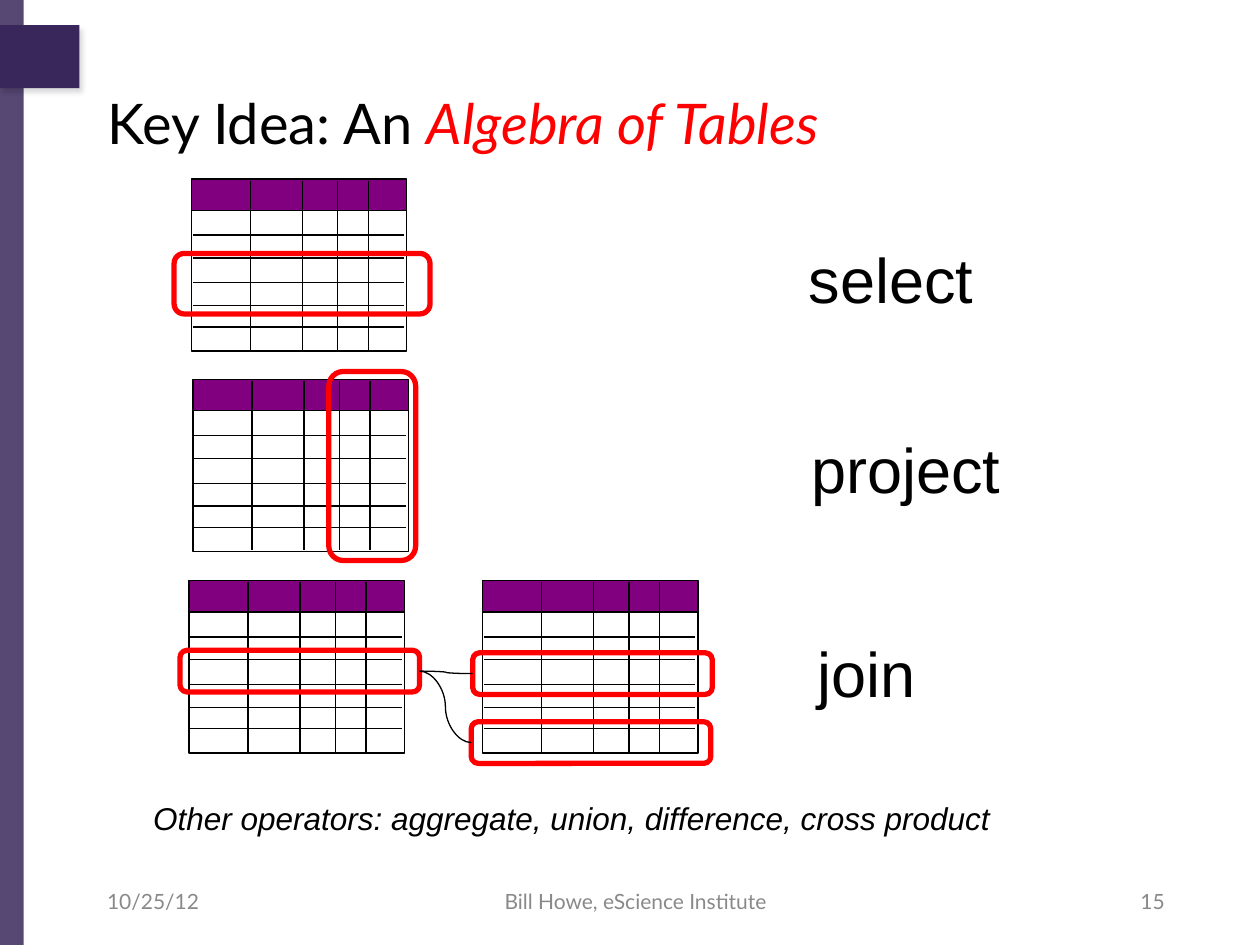
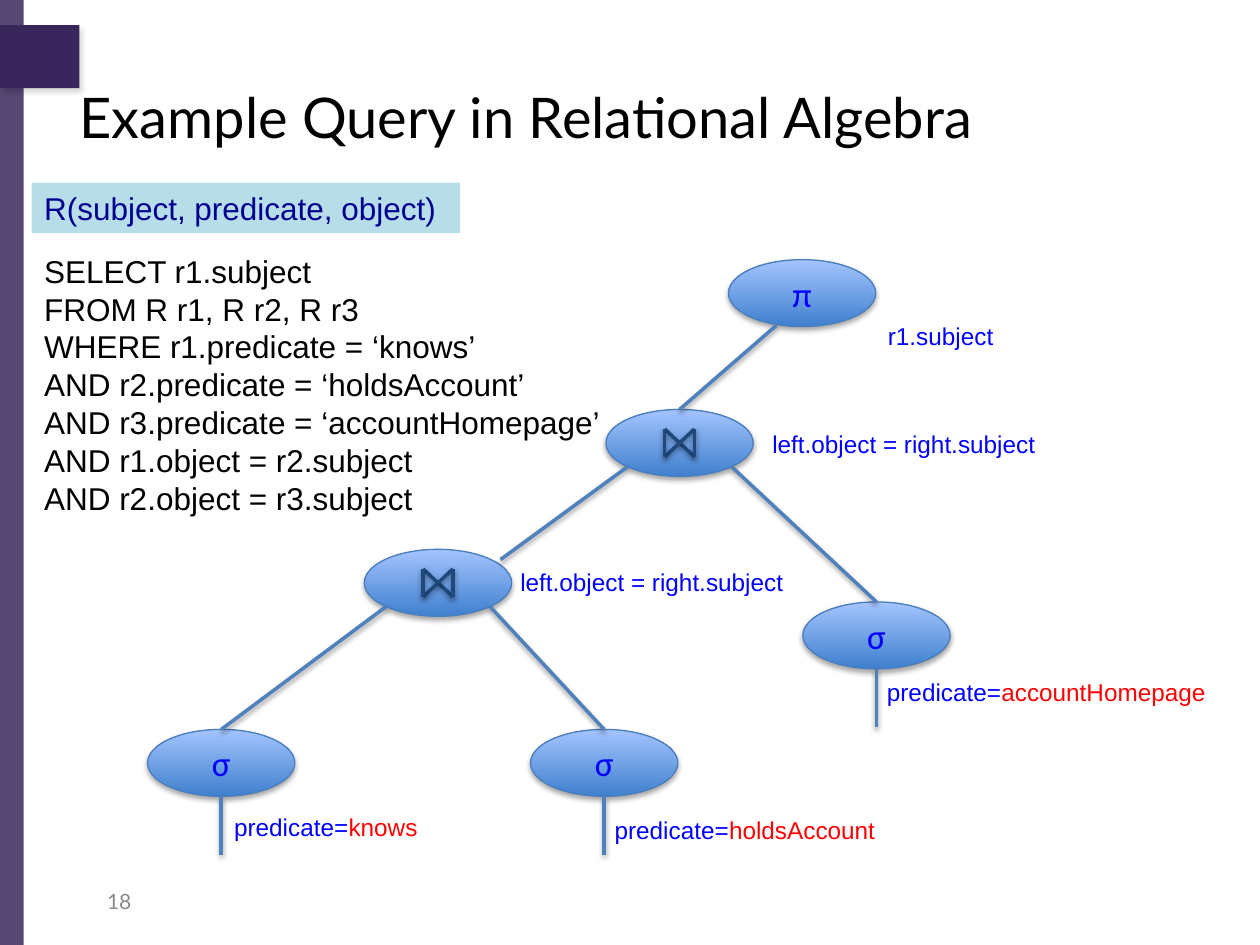
"""Build two slides on relational algebra: table operators and a query tree."""
from dataclasses import dataclass

from lxml.etree import SubElement
from pptx import Presentation
from pptx.dml.color import RGBColor
from pptx.enum.shapes import MSO_CONNECTOR, MSO_SHAPE
from pptx.enum.text import MSO_ANCHOR, MSO_AUTO_SIZE, PP_ALIGN
from pptx.oxml.ns import qn
from pptx.util import Cm, Pt


@dataclass(frozen=True)
class Theme:
    purple: str = "39275B"
    header: str = "800080"
    black: str = "000000"
    white: str = "FFFFFF"
    red: str = "FF0000"
    blue: str = "0000FF"
    navy: str = "000090"
    grey: str = "898989"
    pale: str = "B7DEE8"
    edge: str = "4F81BD"
    bowtie: str = "1F497D"
    outline: str = "4B7EBC"
    gradient: tuple = ("3F80CE", "A4C4FF")
    title_font: str = "Lato"
    body_font: str = "Arial"
    node_font: str = "Calibri"
    title: int = 32
    operator: int = 36
    condition: int = 24
    symbol: int = 20
    body: int = 18
    footer: int = 12
    hairline: float = 0.75
    frame: float = 3
    branch: float = 2
    tab_shadow: tuple = (15, 3, 3, 60)
    node_shadow: tuple = (35, 3.1, 1.8, 90)
    line_shadow: tuple = (38, 3.1, 1.6, 90)


THEME = Theme()
SLIDE = (25.4, 19.05)

ALGEBRA_TITLE = [("Key Idea: An ", THEME.black, False), ("Algebra of Tables", THEME.red, True)]
ALGEBRA_FOOTERS = [
    ("10/25/12", 1.91, 5.92, PP_ALIGN.LEFT),
    ("Bill Howe, eScience Institute", 8.79, 8.05, PP_ALIGN.CENTER),
    ("15", 17.81, 5.92, PP_ALIGN.RIGHT),
]
GRIDS = [(3.86, 3.61), (3.89, 7.65), (3.81, 11.71), (9.73, 11.71)]
GRID_WIDTH, GRID_HEIGHT, HEADER_HEIGHT = 4.34, 3.43, 0.63
ROW_LINES = [0.63, 1.13, 1.59, 2.09, 2.55, 2.98]
COLUMN_LINES = [1.19, 2.24, 2.95, 3.57]
HIGHLIGHTS = {
    "selected rows": (3.51, 5.11, 5.16, 1.22),
    "projected columns": (6.63, 7.49, 1.75, 3.81),
    "left row": (3.63, 13.11, 4.83, 0.84),
    "first match": (9.53, 13.16, 4.83, 0.84),
    "second match": (9.5, 14.55, 4.83, 0.84),
}
JOINED_ROWS = [("left row", "first match"), ("left row", "second match")]
OPERATORS = [("select", 16.05, 4.72), ("project", 16.1, 8.56), ("join", 16.23, 12.67)]
OTHERS = "Other operators: aggregate, union, difference, cross product"

QUERY_TITLE = [("Example Query in Relational Algebra", THEME.black, False)]
QUERY_FOOTERS = [("18", 1.91, 5.92, PP_ALIGN.LEFT)]
SCHEMA = "R(subject, predicate, object)"
QUERY = [
    "SELECT r1.subject",
    "FROM R r1, R r2, R r3",
    "WHERE r1.predicate = ‘knows’",
    "AND r2.predicate = ‘holdsAccount’",
    "AND r3.predicate = ‘accountHomepage’",
    "AND r1.object = r2.subject",
    "AND r2.object = r3.subject",
]
NODE_WIDTH, NODE_HEIGHT = 2.97, 1.35
STEM = 1.18
NODES = {
    "project": ("π", 16.17, 5.91),
    "upper join": ("⋈", 13.7, 8.93),
    "lower join": ("⋈", 8.83, 11.75),
    "knows": ("σ", 4.46, 15.38),
    "account": ("σ", 12.18, 15.38),
    "homepage": ("σ", 17.67, 12.81),
}
TOP = (0, -NODE_HEIGHT / 2)
LOWER_LEFT, LOWER_RIGHT = (-1.05, 0.48), (1.05, 0.48)
BRANCHES = [
    ("project", (-0.52, 0.65), "upper join", TOP),
    ("upper join", LOWER_LEFT, "lower join", (1.26, -0.47)),
    ("upper join", LOWER_RIGHT, "homepage", TOP),
    ("lower join", LOWER_LEFT, "knows", TOP),
    ("lower join", LOWER_RIGHT, "account", TOP),
]
BOWTIE_X, BOWTIE_Y = 0.3, 0.28
BOWTIE = [((-1, -1), (1, 1)), ((1, -1), (-1, 1)), ((-1, -1), (-1, 1)), ((1, -1), (1, 1))]
CONDITIONS = [
    ("r1.subject", "", (17.65, 5.79, 2.97, 0.94)),
    ("left.object = right.subject", "", (15.32, 7.95, 6.68, 1.27)),
    ("left.object = right.subject", "", (10.24, 10.74, 6.68, 1.27)),
    ("predicate=", "knows", (4.47, 15.67, 4.8, 0.94)),
    ("predicate=", "holdsAccount", (12.14, 15.75, 6.6, 0.94)),
    ("predicate=", "accountHomepage", (17.63, 12.95, 7.7, 1.27)),
]


def rgb(colour):
    return RGBColor.from_string(colour)


def lengths(values):
    return [Cm(value) for value in values]


def write(shape, paragraphs, size, font, align=PP_ALIGN.LEFT, anchor=MSO_ANCHOR.TOP):
    frame = shape.text_frame
    frame.word_wrap = True
    frame.vertical_anchor = anchor
    for index, spans in enumerate(paragraphs):
        para = frame.add_paragraph() if index else frame.paragraphs[0]
        para.alignment = align
        for text, colour, italic in spans:
            span = para.add_run()
            span.text = text
            span.font.name = font
            span.font.size = Pt(size)
            span.font.italic = italic
            span.font.color.rgb = rgb(colour)


def add_text(page, bounds, paragraphs, size, font=THEME.body_font, **layout):
    box = page.shapes.add_textbox(*lengths(bounds))
    write(box, paragraphs, size, font, **layout)
    return box


def set_shadow(shape, shadow=None):
    properties = shape.element.spPr
    effects = properties.find(qn("a:effectLst"))
    if effects is None:
        effects = SubElement(properties, qn("a:effectLst"))
    if shadow:
        alpha, blur, distance, angle = shadow
        outer = SubElement(effects, qn("a:outerShdw"), blurRad=str(Pt(blur)),
                           dist=str(Pt(distance)), dir=str(angle * 60000), rotWithShape="0")
        colour = SubElement(outer, qn("a:srgbClr"), val=THEME.black)
        SubElement(colour, qn("a:alpha"), val=str(alpha * 1000))


def add_shape(page, kind, bounds, fill=None, line=None, width=THEME.hairline):
    shape = page.shapes.add_shape(kind, *lengths(bounds))
    shape.shadow.inherit = False
    if fill:
        shape.fill.solid()
        shape.fill.fore_color.rgb = rgb(fill)
    else:
        shape.fill.background()
    if line:
        shape.line.color.rgb = rgb(line)
        shape.line.width = Pt(width)
    else:
        shape.line.fill.background()
    return shape


def add_line(page, start, end, colour=THEME.black, width=THEME.hairline,
             shadow=None, kind=MSO_CONNECTOR.STRAIGHT):
    line = page.shapes.add_connector(kind, *lengths((*start, *end)))
    line.line.color.rgb = rgb(colour)
    line.line.width = Pt(width)
    set_shadow(line, shadow)
    return line


def add_page(deck, title, bounds, footers):
    page = deck.slides.add_slide(deck.slide_layouts[5])
    band = add_shape(page, MSO_SHAPE.RECTANGLE, (0, 0, 0.48, SLIDE[1]), THEME.purple)
    colour = next(band.element.spPr.iter(qn("a:srgbClr")))
    SubElement(colour, qn("a:alpha"), val="85000")
    tab = add_shape(page, MSO_SHAPE.RECTANGLE, (0, 0.51, 1.6, 1.27), THEME.purple)
    set_shadow(tab, THEME.tab_shadow)
    heading = page.shapes.title
    heading.left, heading.top, heading.width, heading.height = lengths(bounds)
    write(heading, [title], THEME.title, THEME.title_font, anchor=MSO_ANCHOR.MIDDLE)
    for text, left, width, align in footers:
        add_text(page, (left, 17.65, width, 1.02), [[(text, THEME.grey, False)]],
                 THEME.footer, THEME.title_font, align=align, anchor=MSO_ANCHOR.MIDDLE)
    return page


def add_grid(page, left, top):
    for offset, height, fill in ((0.04, GRID_HEIGHT, THEME.white), (0, HEADER_HEIGHT, THEME.header)):
        add_shape(page, MSO_SHAPE.RECTANGLE, (left, top + offset, GRID_WIDTH, height),
                  fill, THEME.black)
    for row in ROW_LINES:
        add_line(page, (left + 0.03, top + row), (left + 4.29, top + row))
    for column in COLUMN_LINES:
        add_line(page, (left + column, top + 0.03), (left + column, top + 3.44))


def build_algebra(deck):
    page = add_page(deck, ALGEBRA_TITLE, (1.91, 1.19, 21.82, 2.54), ALGEBRA_FOOTERS)
    for left, top in GRIDS:
        add_grid(page, left, top)
    frames = {
        name: add_shape(page, MSO_SHAPE.ROUNDED_RECTANGLE, bounds, None, THEME.red, THEME.frame)
        for name, bounds in HIGHLIGHTS.items()
    }
    for source, target in JOINED_ROWS:
        curve = add_line(page, (0, 0), (1, 1), kind=MSO_CONNECTOR.CURVE)
        curve.begin_connect(frames[source], 3)
        curve.end_connect(frames[target], 1)
    for name, left, top in OPERATORS:
        add_text(page, (left, top, 7.85, 1.78), [[(name, THEME.black, False)]], THEME.operator)
    add_text(page, (2.84, 15.98, 21.72, 1.27), [[(OTHERS, THEME.black, True)]], THEME.body)


def add_node(page, symbol, x, y):
    bounds = (x - NODE_WIDTH / 2, y - NODE_HEIGHT / 2, NODE_WIDTH, NODE_HEIGHT)
    node = add_shape(page, MSO_SHAPE.OVAL, bounds, None, THEME.outline)
    node.fill.gradient()
    node.fill.gradient_angle = 90
    for stop, colour in zip(node.fill.gradient_stops, THEME.gradient):
        stop.color.rgb = rgb(colour)
    set_shadow(node, THEME.node_shadow)
    if symbol == "⋈":
        for start, end in BOWTIE:
            points = [(x + across * BOWTIE_X, y + down * BOWTIE_Y) for across, down in (start, end)]
            add_line(page, *points, THEME.bowtie, THEME.branch, THEME.line_shadow)
    else:
        write(node, [[(symbol, THEME.blue, False)]], THEME.symbol, THEME.node_font,
              PP_ALIGN.CENTER, MSO_ANCHOR.MIDDLE)
    return node


def add_branch(page, start, end):
    return add_line(page, start, end, THEME.edge, THEME.branch, THEME.line_shadow)


def build_query(deck):
    page = add_page(deck, QUERY_TITLE, (1.35, 0.97, 22.78, 2.74), QUERY_FOOTERS)
    add_text(page, (0.64, 4.95, 14.71, 5.64),
             [[(line, THEME.black, False)] for line in QUERY], THEME.body)
    schema = add_shape(page, MSO_SHAPE.RECTANGLE, (0.64, 3.68, 8.64, 1.02), THEME.pale)
    write(schema, [[(SCHEMA, THEME.navy, False)]], THEME.body, THEME.body_font)
    nodes = {name: add_node(page, *node) for name, node in NODES.items()}
    for parent, leave, child, arrive in BRANCHES:
        start, end = (
            (NODES[name][1] + across, NODES[name][2] + down)
            for name, (across, down) in ((parent, leave), (child, arrive))
        )
        branch = add_branch(page, start, end)
        if arrive == TOP:
            branch.end_connect(nodes[child], 0)
    for symbol, x, y in NODES.values():
        if symbol == "σ":
            bottom = y + NODE_HEIGHT / 2
            add_branch(page, (x, bottom), (x, bottom + STEM))
    for condition, value, bounds in CONDITIONS:
        spans = [(condition, THEME.blue, False)]
        if value:
            spans.append((value, THEME.red, False))
        label = add_text(page, bounds, [spans], THEME.condition)
        label.text_frame.word_wrap = False
        label.text_frame.auto_size = MSO_AUTO_SIZE.SHAPE_TO_FIT_TEXT
        for properties in label.element.iter(qn("a:rPr")):
            properties.set("baseline", "-25000")


def main():
    deck = Presentation()
    deck.slide_width, deck.slide_height = lengths(SLIDE)
    build_algebra(deck)
    build_query(deck)
    deck.save("out.pptx")


if __name__ == "__main__":
    main()
